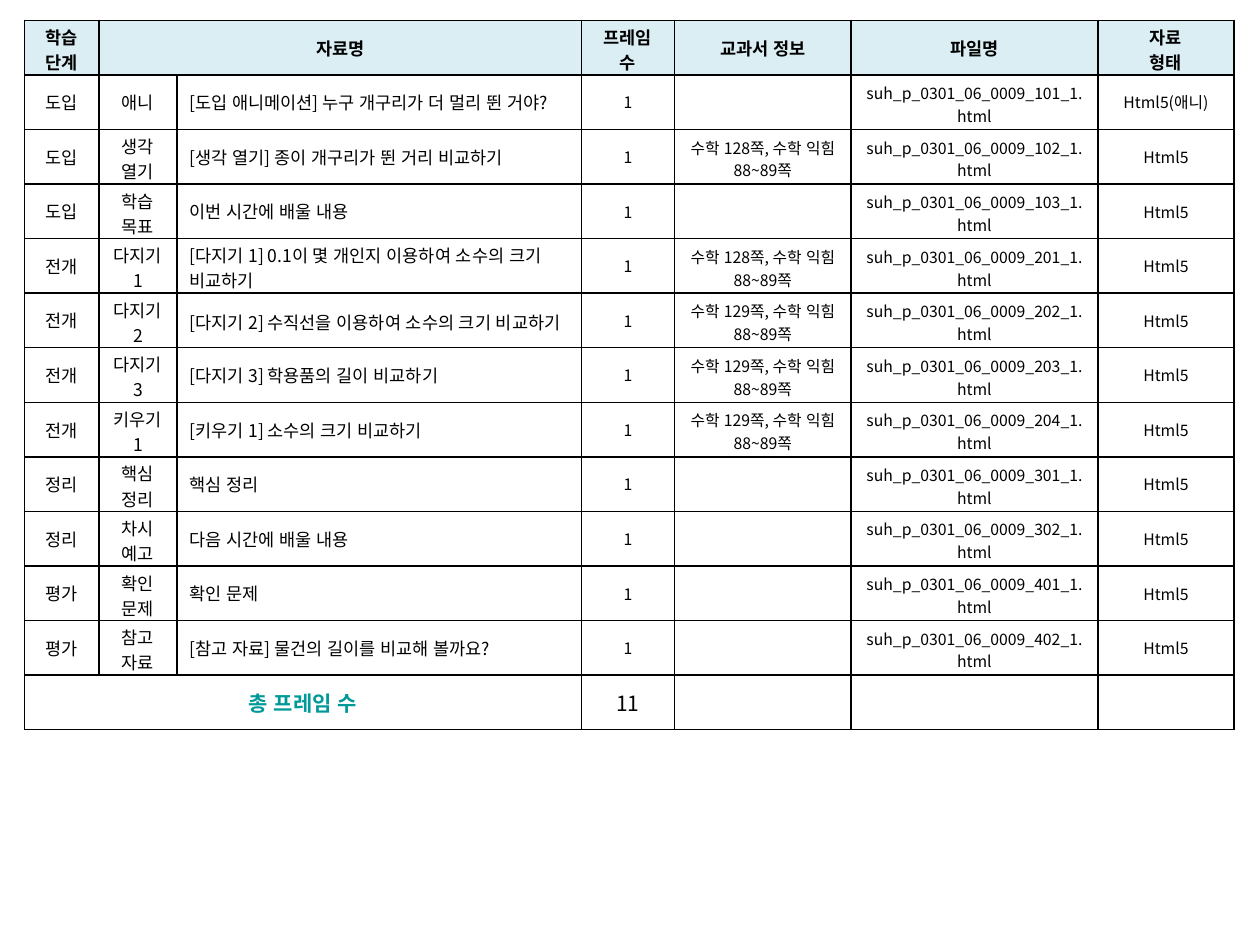
import lxml.etree
import pptx
import pptx.dml.color
import pptx.enum.text
import pptx.oxml.ns
import pptx.util

FONT = "Noto Sans CJK KR"
BLACK, WHITE, TEAL, PALE_BLUE = "000000", "FFFFFF", "009999", "DBEEF4"
ROW_HEIGHT = 31.2
COLUMN_WIDTHS = [42.5, 44.6, 231.1, 53.3, 100.8, 141.1, 77.8]
PART_COLUMN, TITLE_COLUMN, FRAME_COLUMN, PAGES_COLUMN, FILE_COLUMN = range(1, 6)
ONE_LINE, TWO_SMALL_LINES, TWO_LINES = (3.6, 3.6), (3.6, 1.4), (2.1, 0)
HEADINGS = ["학습 단계", "자료명", "", "프레임 수", "교과서 정보", "파일명", "자료\n형태"]
TWO_LINE_HEADINGS = {0, 3, 6}
WRAPPED_TITLES = {201, 202}
PAGES_128 = "수학 128쪽, 수학 익힘 88~89쪽"
PAGES_129 = "수학 129쪽, 수학 익힘 88~89쪽"
LESSONS = [
    ("도입", "애니", "[도입 애니메이션] 누구 개구리가 더 멀리 뛴 거야?", "", 101, "Html5(애니)"),
    ("도입", "생각 열기", "[생각 열기] 종이 개구리가 뛴 거리 비교하기", PAGES_128, 102, "Html5"),
    ("도입", "학습 목표", "이번 시간에 배울 내용", "", 103, "Html5"),
    ("전개", "다지기 1", "[다지기 1] 0.1이 몇 개인지 이용하여 소수의 크기 비교하기", PAGES_128, 201, "Html5"),
    ("전개", "다지기 2", "[다지기 2] 수직선을 이용하여 소수의 크기 비교하기", PAGES_129, 202, "Html5"),
    ("전개", "다지기 3", "[다지기 3] 학용품의 길이 비교하기", PAGES_129, 203, "Html5"),
    ("전개", "키우기1", "[키우기 1] 소수의 크기 비교하기", PAGES_129, 204, "Html5"),
    ("정리", "핵심 정리", "핵심 정리", "", 301, "Html5"),
    ("정리", "차시 예고", "다음 시간에 배울 내용", "", 302, "Html5"),
    ("평가", "확인 문제", "확인 문제", "", 401, "Html5"),
    ("평가", "참고 자료", "[참고 자료] 물건의 길이를 비교해 볼까요?", "", 402, "Html5"),
]


def color(value):
    """Turn a hex string into a colour."""
    return pptx.dml.color.RGBColor.from_string(value)


def add_element(parent, tag, **attributes):
    """Append a DrawingML element and return it."""
    return lxml.etree.SubElement(parent, pptx.oxml.ns.qn(tag), attributes)


def set_borders(cell):
    """Draw a one-point black line on every side of a cell."""
    properties = cell._tc.get_or_add_tcPr()
    for side in ("a:lnL", "a:lnR", "a:lnT", "a:lnB"):
        line = add_element(properties, side, w=str(pptx.util.Pt(1)))
        add_element(add_element(line, "a:solidFill"), "a:srgbClr", val=BLACK)


def set_margins(cell, insets, side):
    """Set the top and bottom insets and the equal side insets of a cell."""
    cell.margin_top, cell.margin_bottom = (pptx.util.Pt(inset) for inset in insets)
    cell.margin_left = cell.margin_right = pptx.util.Pt(side)


def write_cell(cell, text, size, bold=False, ink=BLACK, fill=None, centered=True,
               insets=ONE_LINE, side=7.2):
    """Set the borders, fill and text of a cell, one paragraph per line."""
    set_borders(cell)
    set_margins(cell, insets, side)
    if fill:
        cell.fill.solid()
        cell.fill.fore_color.rgb = color(fill)
    else:
        cell.fill.background()
    cell.vertical_anchor = pptx.enum.text.MSO_ANCHOR.MIDDLE
    frame = cell.text_frame
    for index, line in enumerate(text.split("\n")):
        para = frame.add_paragraph() if index else frame.paragraphs[0]
        if centered:
            para.alignment = pptx.enum.text.PP_ALIGN.CENTER
        if not line:
            add_element(para._p, "a:endParaRPr", sz=str(size * 100))
            continue
        span = para.add_run()
        span.text = line
        span.font.size = pptx.util.Pt(size)
        span.font.bold = bold
        span.font.color.rgb = color(ink)
        span.font.name = FONT
        properties = span._r.get_or_add_rPr()
        properties.set("lang", "ko-KR")
        properties.set("kern", "0")
        add_element(properties, "a:ea", typeface=FONT)


def fill_header(table):
    """Write the heading row."""
    for column, heading in enumerate(HEADINGS):
        insets = TWO_LINES if column in TWO_LINE_HEADINGS else ONE_LINE
        write_cell(table.cell(0, column), heading, 10, bold=True, fill=PALE_BLUE,
                   insets=insets, side=8)
    table.cell(0, PART_COLUMN).merge(table.cell(0, TITLE_COLUMN))


def lesson_insets(column, part, number):
    """Choose the insets that suit the line count of a lesson cell."""
    if column in (PAGES_COLUMN, FILE_COLUMN):
        return TWO_SMALL_LINES
    if column == PART_COLUMN and part != "애니":
        return TWO_LINES
    if column == TITLE_COLUMN and number in WRAPPED_TITLES:
        return TWO_LINES
    return ONE_LINE


def fill_lessons(table):
    """Write one row for each lesson material."""
    for row, (stage, part, title, pages, number, form) in enumerate(LESSONS, start=1):
        file_name = f"suh_p_0301_06_0009_{number}_1.html"
        fill = WHITE if stage == "평가" else None
        for column, text in enumerate([stage, part, title, "1", pages, file_name, form]):
            size = 10 if column <= TITLE_COLUMN else 9
            write_cell(table.cell(row, column), text, size, fill=fill,
                       centered=column != TITLE_COLUMN,
                       insets=lesson_insets(column, part, number))


def fill_total(table):
    """Write the closing row with the number of frames."""
    row = len(LESSONS) + 1
    for column in range(len(COLUMN_WIDTHS)):
        cell = table.cell(row, column)
        if column == 0:
            write_cell(cell, "총 프레임 수", 12, bold=True, ink=TEAL, fill=WHITE)
        else:
            count = str(len(LESSONS)) if column == FRAME_COLUMN else ""
            write_cell(cell, count, 12, fill=WHITE)
    table.cell(row, 0).merge(table.cell(row, TITLE_COLUMN))


def add_material_table(page, left, top, width, height):
    """Place the table of lesson materials in the given box."""
    row_count = len(LESSONS) + 2
    box = page.shapes.add_table(
        row_count, len(COLUMN_WIDTHS), pptx.util.Pt(left), pptx.util.Pt(top),
        pptx.util.Pt(width), pptx.util.Pt(height))
    table = box.table
    table.first_row = False
    table.horz_banding = False
    for column, share in zip(table.columns, COLUMN_WIDTHS):
        column.width = pptx.util.Pt(share * width / sum(COLUMN_WIDTHS))
    for row in table.rows:
        row.height = pptx.util.Pt(height / row_count)
    fill_header(table)
    fill_lessons(table)
    fill_total(table)


def main():
    """Build the deck and save it."""
    deck = pptx.Presentation()
    deck.slide_width = pptx.util.Pt(720)
    deck.slide_height = pptx.util.Pt(540)
    page = deck.slides.add_slide(deck.slide_layouts[6])
    add_material_table(page, 14, 11.6, 691.2, ROW_HEIGHT * (len(LESSONS) + 2))
    deck.save("out.pptx")


if __name__ == "__main__":
    main()
